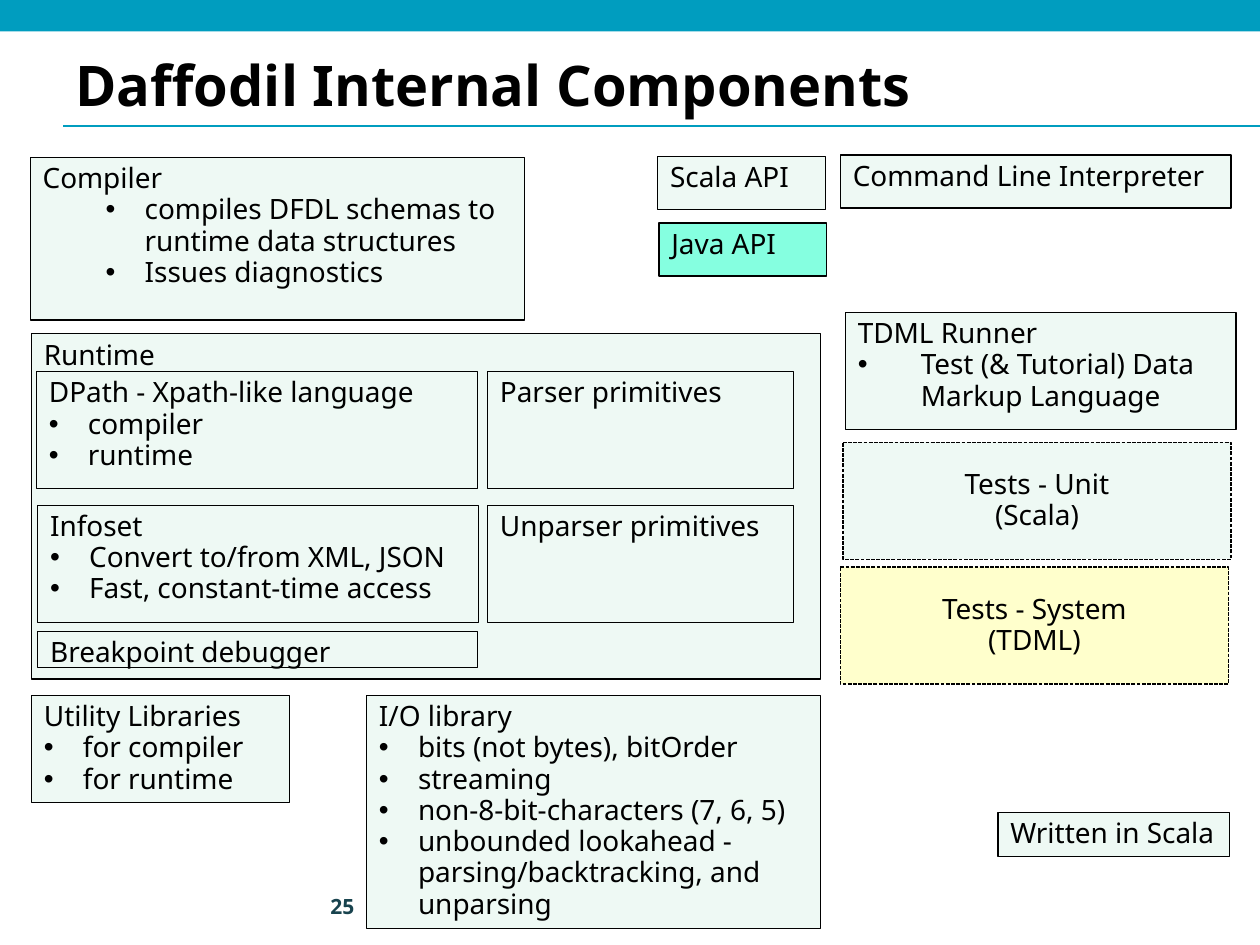
from lxml import etree
from pptx import Presentation
from pptx.dml.color import RGBColor
from pptx.enum.dml import MSO_LINE
from pptx.enum.shapes import MSO_CONNECTOR, MSO_SHAPE
from pptx.enum.text import MSO_ANCHOR, PP_ALIGN
from pptx.oxml.ns import qn
from pptx.util import Inches, Pt

PROCESS = MSO_SHAPE.FLOWCHART_PROCESS
RECTANGLE = MSO_SHAPE.RECTANGLE
STRAIGHT = MSO_CONNECTOR.STRAIGHT
DASHED = MSO_LINE.SQUARE_DOT
TOP, MIDDLE = MSO_ANCHOR.TOP, MSO_ANCHOR.MIDDLE
LEFT, CENTER, RIGHT = PP_ALIGN.LEFT, PP_ALIGN.CENTER, PP_ALIGN.RIGHT

FONT = "Noto Sans"
TEAL, NAVY, BLACK = "009DBF", "18434E", "000000"
MINT, AQUA, CREAM = "EEF9F4", "85FFE0", "FFFFCC"


def color(hex_value):
    return RGBColor.from_string(hex_value)


def place(box):
    return [Inches(length) for length in box]


def style_run(paragraph, size, hex_value, bold=False):
    for run in paragraph.runs:
        run.font.name = FONT
        run.font.size = Pt(size)
        run.font.bold = bold
        run.font.color.rgb = color(hex_value)


def add_bullet(paragraph, margin, hanging):
    properties = paragraph._p.get_or_add_pPr()
    properties.set("marL", str(Inches(margin)))
    properties.set("indent", str(-Inches(hanging)))
    etree.SubElement(properties, qn("a:buFont")).set("typeface", "Arial")
    etree.SubElement(properties, qn("a:buChar")).set("char", "•")


def add_label(slide, box, text, size, hex_value, align=LEFT, spacing=1.0):
    frame = slide.shapes.add_textbox(*place(box)).text_frame
    frame.word_wrap = True
    frame.vertical_anchor = MIDDLE
    frame.text = text
    paragraph = frame.paragraphs[0]
    paragraph.alignment = align
    paragraph.line_spacing = spacing
    style_run(paragraph, size, hex_value, bold=True)


def add_panel(slide, box, preset, fill):
    panel = slide.shapes.add_shape(preset, *place(box))
    panel.shadow.inherit = False
    panel.fill.solid()
    panel.fill.fore_color.rgb = color(fill)
    panel.line.fill.background()
    return panel


def add_component(slide, box, heading, bullets=(), fill=MINT, preset=PROCESS,
                  margin=0.31, hanging=0.31, level=0):
    """Outlined box with a heading and an optional bullet list."""
    component = add_panel(slide, box, preset, fill)
    component.line.color.rgb = color(BLACK)
    component.line.width = Pt(0.75)
    frame = component.text_frame
    frame.word_wrap = True
    frame.vertical_anchor = TOP
    frame.text = "\n".join([heading, *bullets])
    for index, paragraph in enumerate(frame.paragraphs):
        if index:
            paragraph.level = level
            add_bullet(paragraph, margin, hanging)
        paragraph.alignment = LEFT
        paragraph.line_spacing = 0.93
        style_run(paragraph, 16, BLACK)
    return component


def add_tests(slide, box, kind, language, fill):
    """Dashed box with two centred lines."""
    tests = add_component(slide, box, kind, fill=fill)
    tests.line.dash_style = DASHED
    frame = tests.text_frame
    frame.vertical_anchor = MIDDLE
    frame.add_paragraph().text = language
    for paragraph in frame.paragraphs:
        paragraph.alignment = CENTER
        paragraph.line_spacing = 0.93
        style_run(paragraph, 16, BLACK)


def add_header(slide):
    rule = slide.shapes.add_connector(STRAIGHT, *place((0.5, 1, 10, 1)))
    rule.line.color.rgb = color(TEAL)
    rule.line.width = Pt(0.75)
    etree.SubElement(rule._element.spPr, qn("a:effectLst"))
    add_panel(slide, (0, 0, 10, 0.25), RECTANGLE, TEAL)
    add_label(slide, (0.5, 0.38, 9, 0.61), "Daffodil Internal Components",
              32, BLACK, spacing=0.98)
    add_label(slide, (2.3, 6.99, 0.61, 0.4), "25", 12, NAVY, RIGHT)


def add_runtime(slide):
    add_component(slide, (0.25, 2.65, 6.26, 2.74), "Runtime")
    upper, lower, height = 2.95, 4.01, 0.93
    add_component(slide, (0.29, upper, 3.5, height),
                  "DPath - Xpath-like language", ["compiler", "runtime"])
    add_component(slide, (0.3, lower, 3.5, height), "Infoset",
                  ["Convert to/from XML, JSON", "Fast, constant-time access"])
    for top, name in ((upper, "Parser"), (lower, "Unparser")):
        add_component(slide, (3.87, top, 2.43, height), f"{name} primitives")
    add_component(slide, (0.3, 5.01, 3.49, 0.29), "Breakpoint debugger")


def main():
    deck = Presentation()
    deck.slide_width, deck.slide_height = Inches(10), Inches(7.5)
    slide = deck.slides.add_slide(deck.slide_layouts[6])
    add_header(slide)

    # Compiler, runtime and libraries
    add_component(slide, (0.24, 1.25, 3.92, 1.29), "Compiler",
                  ["compiles DFDL schemas to runtime data structures",
                   "Issues diagnostics"], margin=0.81, level=1)
    add_runtime(slide)
    add_component(slide, (2.91, 5.52, 3.6, 1.85), "I/O library",
                  ["bits (not bytes), bitOrder", "streaming",
                   "non-8-bit-characters (7, 6, 5)",
                   "unbounded lookahead - parsing/backtracking, and unparsing"])
    add_component(slide, (0.25, 5.52, 2.05, 0.85), "Utility Libraries",
                  ["for compiler", "for runtime"])

    # Interfaces
    add_component(slide, (6.67, 1.23, 3.1, 0.42), "Command Line Interpreter")
    add_component(slide, (5.23, 1.77, 1.33, 0.42), "Java API", fill=AQUA)
    add_component(slide, (5.22, 1.24, 1.33, 0.42), "Scala API")

    # Testing
    add_component(slide, (6.71, 2.48, 3.1, 0.93), "TDML Runner",
                  ["Test (& Tutorial) Data Markup Language"],
                  margin=0.5, hanging=0.5)
    add_tests(slide, (6.69, 3.51, 3.08, 0.93), "Tests - Unit", "(Scala)", MINT)
    add_tests(slide, (6.67, 4.5, 3.08, 0.93), "Tests - System", "(TDML)", CREAM)

    # Colour key
    add_component(slide, (7.92, 6.45, 1.84, 0.35), "Written in Scala",
                  preset=RECTANGLE)

    deck.save("out.pptx")


if __name__ == "__main__":
    main()
